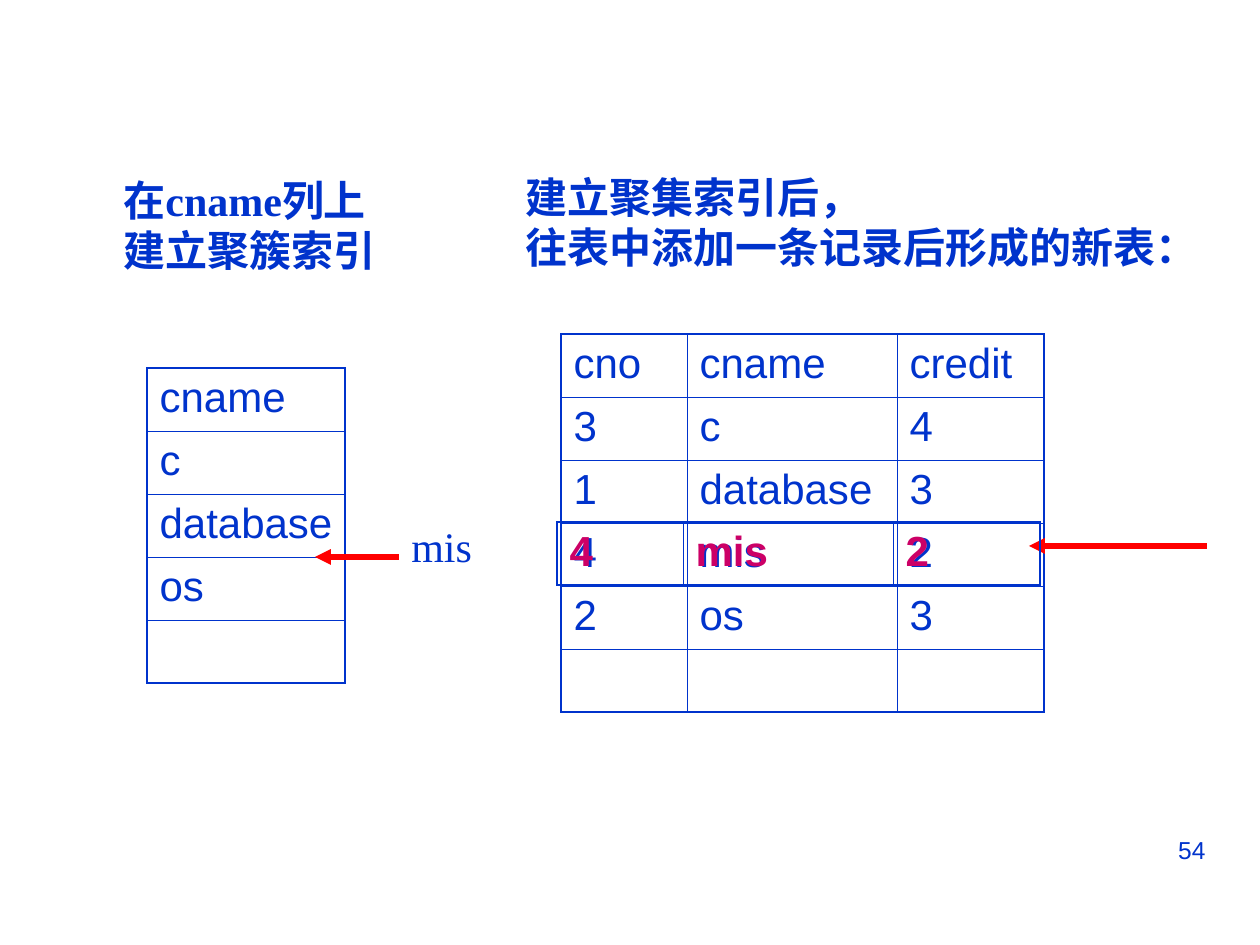
from dataclasses import dataclass

from lxml import etree
from pptx import Presentation
from pptx import util as u
from pptx.dml.color import RGBColor
from pptx.enum import shapes, text
from pptx.oxml import ns


@dataclass(frozen=True)
class Theme:
    """Colours, fonts and sizes of the slide."""
    ink: str = "0033CC"
    accent: str = "CC0066"
    arrow: str = "FF0000"
    serif: str = "Times New Roman"
    sans: str = "Arial"
    body: int = 24
    number: int = 14
    arrow_line: float = 3
    outer_line: float = 1.08
    inner_line: float = 0.45


THEME = Theme()
ROW = 63
COURSE_COLUMNS = (126, 210, 147)


def px(length):
    """Turn a length in px into EMU."""
    return u.Emu(round(length * 914400 / 126))


def write(frame, lines, *, font=THEME.serif, size=THEME.body, color=THEME.ink,
          bold=False, align=text.PP_ALIGN.LEFT):
    """Fill a text frame with one formatted paragraph per line."""
    for index, line in enumerate(lines):
        paragraph = frame.add_paragraph() if index else frame.paragraphs[0]
        paragraph.alignment = align
        paragraph.space_before = u.Pt(0)
        run = paragraph.add_run()
        run.text = line
        run.font.name, run.font.size, run.font.bold = font, u.Pt(size), bold
        run.font.color.rgb = RGBColor.from_string(color)


def place_text(label, box, lines, *, wrap=False, **style):
    """Move a text shape to its box and write its lines."""
    label.left, label.top, label.width, label.height = map(px, box)
    frame = label.text_frame
    frame.word_wrap = wrap
    frame.auto_size = text.MSO_AUTO_SIZE.NONE
    frame.vertical_anchor = text.MSO_ANCHOR.TOP
    write(frame, lines, **style)


def add_label(slide, box, lines, **style):
    """Add a text box with its lines."""
    place_text(slide.shapes.add_textbox(0, 0, 0, 0), box, lines, **style)


def add_arrow(slide, start, end, y):
    """Draw a level arrow from start to end."""
    arrow = slide.shapes.add_connector(
        shapes.MSO_CONNECTOR.STRAIGHT, px(start), px(y), px(end), px(y))
    arrow.line.color.rgb = RGBColor.from_string(THEME.arrow)
    arrow.line.width = u.Pt(THEME.arrow_line)
    etree.SubElement(arrow.line._get_or_add_ln(), ns.qn("a:tailEnd"), type="triangle")
    etree.SubElement(arrow._element.spPr, ns.qn("a:effectLst"))


def border_cell(cell, outer_sides):
    """Rule the four sides of a cell, heavier on the outer ones."""
    properties = cell._tc.get_or_add_tcPr()
    for index, side in enumerate("LRTB"):
        width = THEME.outer_line if side in outer_sides else THEME.inner_line
        line = etree.Element(ns.qn(f"a:ln{side}"), w=str(u.Pt(width)))
        fill = etree.SubElement(line, ns.qn("a:solidFill"))
        etree.SubElement(fill, ns.qn("a:srgbClr"), val=THEME.ink)
        properties.insert(index, line)


def add_records(slide, left, top, columns, records, **style):
    """Add a ruled table of records."""
    height = ROW * len(records)
    table = slide.shapes.add_table(len(records), len(columns), px(left), px(top),
                                   px(sum(columns)), px(height)).table
    table.first_row = table.horz_banding = False
    for column, width in zip(table.columns, columns):
        column.width = px(width)
    for r, record in enumerate(records):
        table.rows[r].height = px(ROW)
        for c, value in enumerate(record):
            cell = table.cell(r, c)
            cell.fill.background()
            edges = {"L": c == 0, "R": c == len(columns) - 1,
                     "T": r == 0, "B": r == len(records) - 1}
            border_cell(cell, [side for side, outer in edges.items() if outer])
            if value:
                write(cell.text_frame, [value], font=THEME.sans, **style)


def add_index(slide, left, top):
    """Build the index column with its heading and the entry to insert."""
    add_label(slide, (left, top, 287, 113), ["在cname列上", "建立聚簇索引"], bold=True)
    names = ("cname", "c", "database", "os", "")
    add_records(slide, left + 36, top + 200, (198,), [(name,) for name in names])
    add_label(slide, (left + 288, top + 346, 86, 63), ["mis"])
    add_arrow(slide, left + 288, left + 204, top + 389)


def add_courses(slide, left, top):
    """Build the course table with its heading and the inserted record."""
    place_text(slide.shapes.title, (left, top, 697, 113),
               ["建立聚集索引后，", "往表中添加一条记录后形成的新表："], bold=True)
    inserted = ("4", "mis", "2")
    courses = [("cno", "cname", "credit"), ("3", "c", "4"), ("1", "database", "3"),
               inserted, ("2", "os", "3"), ("", "", "")]
    add_records(slide, left + 48, top + 169, COURSE_COLUMNS, courses)
    add_arrow(slide, left + 694, left + 516, top + 381)
    add_records(slide, left + 44, top + 357, COURSE_COLUMNS, [inserted],
                color=THEME.accent, bold=True)


def main():
    """Build and save the slide."""
    deck = Presentation()
    deck.slide_width, deck.slide_height = px(1260), px(945)
    slide = deck.slides.add_slide(deck.slide_layouts.get_by_name("Title Only"))
    add_index(slide, 111, 168)
    add_courses(slide, 513, 165)
    add_label(slide, (903, 829, 315, 66), ["54"], wrap=True, font=THEME.sans,
              size=THEME.number, align=text.PP_ALIGN.RIGHT)
    deck.save("out.pptx")


if __name__ == "__main__":
    main()
